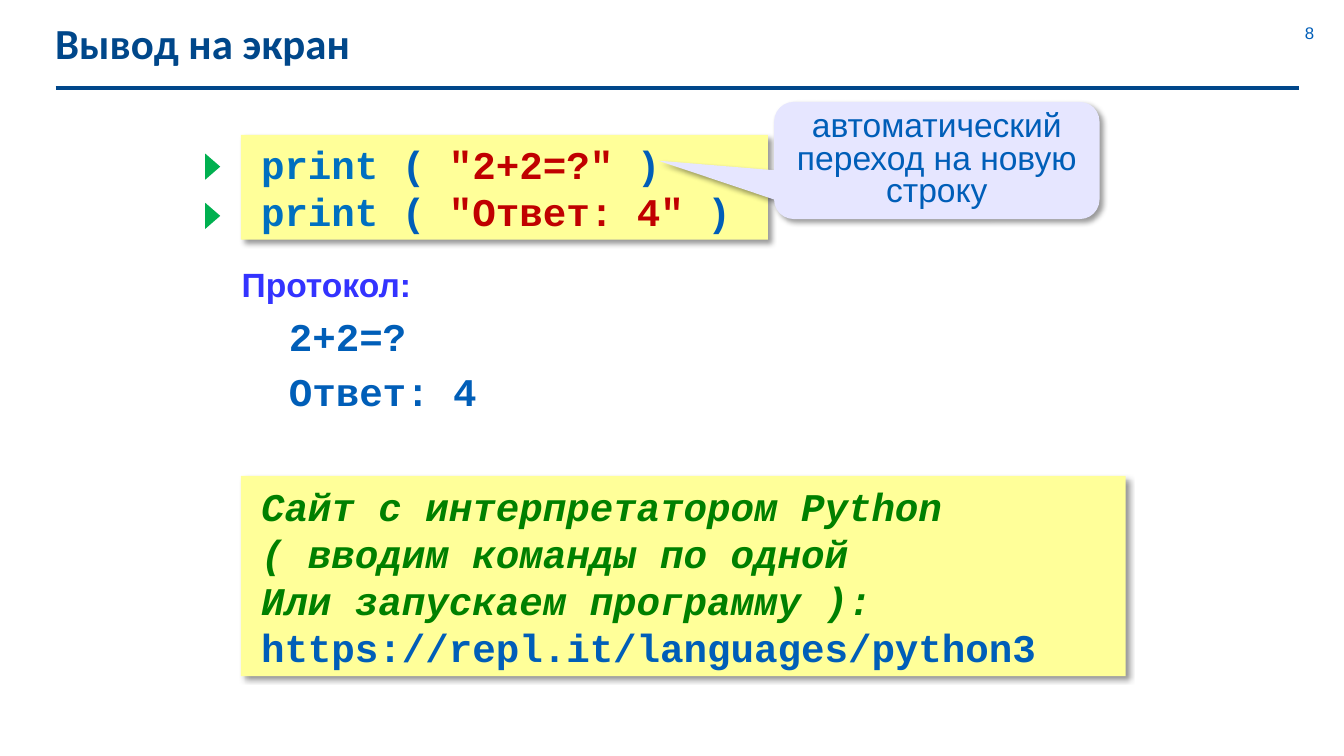
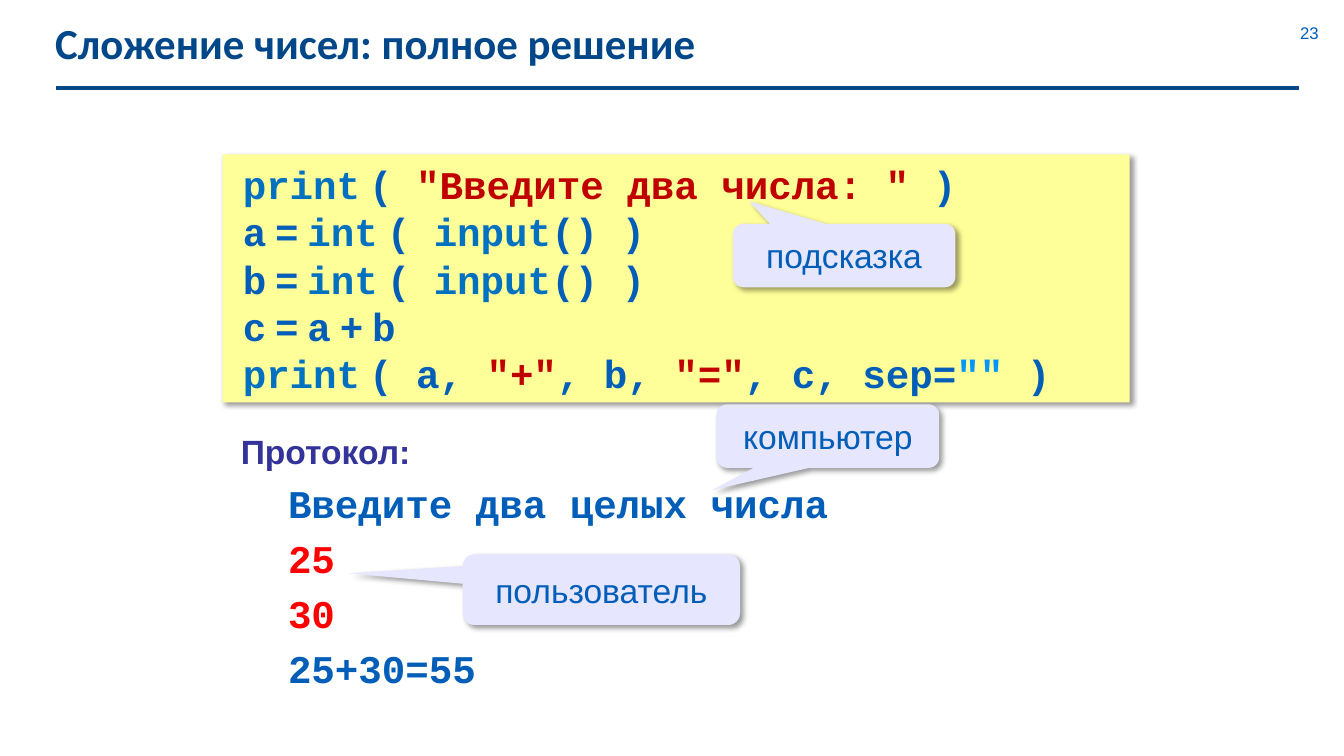
from collections import namedtuple
from dataclasses import dataclass

from lxml.etree import SubElement
from pptx import Presentation
from pptx.dml.color import RGBColor
from pptx.enum.shapes import MSO_CONNECTOR, MSO_SHAPE as Preset
from pptx.enum.text import MSO_ANCHOR as Anchor, PP_ALIGN as Align
from pptx.oxml.ns import qn
from pptx.util import Cm, Pt


@dataclass(frozen=True)
class Theme:
    navy: str = "00478A"
    text: str = "005EB8"
    keyword: str = "0070C0"
    string: str = "C00000"
    empty_string: str = "0095FF"
    comment: str = "008000"
    user_input: str = "FF0000"
    code_fill: str = "FFFF99"
    callout_fill: str = "E6E6FF"
    marker: str = "00B050"
    title_size: float = 30.6
    code_size: float = 28
    label_size: float = 24
    number_size: float = 12
    title_font: str = "Calibri"
    body_font: str = "Arial"
    code_font: str = "Courier New"


theme = Theme()
Style = namedtuple("Style", "font size color bold italic", defaults=(True, False))

title_style = Style(theme.title_font, theme.title_size, theme.navy)
number_style = Style(theme.body_font, theme.number_size, theme.text, False)
note_style = Style(theme.body_font, theme.label_size, theme.text, False)
plain = Style(theme.code_font, theme.code_size, theme.text)
gap = plain._replace(font=theme.title_font)
keyword = plain._replace(color=theme.keyword)
string = plain._replace(color=theme.string)
empty_string = plain._replace(color=theme.empty_string)
user_input = plain._replace(color=theme.user_input)
comment = plain._replace(color=theme.comment, italic=True)


def write(shape, lines, align=Align.LEFT, anchor=Anchor.TOP, inset=(0.25, 0.13, 0.25, 0.13), spacing=None):
    frame = shape.text_frame
    frame.word_wrap = True
    frame.vertical_anchor = anchor
    frame.margin_left, frame.margin_top, frame.margin_right, frame.margin_bottom = map(Cm, inset)
    for index, line in enumerate(lines):
        paragraph = frame.paragraphs[0] if index == 0 else frame.add_paragraph()
        paragraph.alignment = align
        if spacing:
            paragraph.line_spacing = spacing
        for words, style in line:
            run = paragraph.add_run()
            run.text = words
            run.font.name = style.font
            run.font.size = Pt(style.size)
            run.font.bold = style.bold
            run.font.italic = style.italic
            run.font.color.rgb = RGBColor.from_string(style.color)
    return frame


def add_panel(slide, preset, place, fill, shadow=True):
    panel = slide.shapes.add_shape(preset, *map(Cm, place))
    panel.shadow.inherit = False
    panel.fill.solid()
    panel.fill.fore_color.rgb = RGBColor.from_string(fill)
    panel.line.fill.background()
    if shadow:
        effects = panel._element.spPr.find(qn("a:effectLst"))
        outer = SubElement(effects, qn("a:outerShdw"), blurRad=str(Pt(4)), dist=str(Pt(3)),
                           dir="2700000", algn="tl", rotWithShape="0")
        black = SubElement(outer, qn("a:srgbClr"), val="000000")
        SubElement(black, qn("a:alpha"), val="40000")
    return panel


read_number = [("=", plain), (" ", gap), ("int", keyword), (" ", gap), ("( ", plain),
               ("input", keyword), ("() )", plain)]

lessons = [
    {
        "title": "Вывод на экран",
        "number": "8",
        "code": [
            ((6.07, 3.4, 13.28, 2.64), [
                [("print", keyword), (" ( ", plain), (text, string), (" )", plain)]
                for text in ('"2+2=?"', '"Ответ: 4"')
            ]),
            ((6.07, 11.99, 22.3, 5.05), [
                [("Сайт с интерпретатором Python", comment)],
                [("( вводим команды по одной", comment)],
                [("Или запускаем программу ):", comment)],
                [("https://repl.it/languages/python3", plain)],
            ]),
        ],
        "protocol_place": (5.84, 6.53, 18.67, 4.17),
        "protocol_color": "3333FF",
        "protocol": [("2+2=?", plain), ("Ответ: 4", plain)],
        "marker_tops": [4.01, 5.25],
        "callouts": [
            ("автоматический переход на новую строку", (19.51, 2.57, 8.2, 2.95), (-0.856, 0.002), 0.8),
        ],
    },
    {
        "title": "Сложение чисел: полное решение",
        "number": "23",
        "code": [
            ((5.61, 3.89, 22.86, 6.25), [
                [("print", keyword), (" ", gap), ("( ", plain), ('"Введите два числа: "', string),
                 (" )", plain)],
                [("a", plain), (" ", gap), *read_number],
                [("b", plain), (" ", gap), *read_number],
                [("c", plain), (" ", gap), ("=", plain), (" ", gap), ("a", plain), (" ", gap),
                 ("+", plain), (" ", gap), ("b", plain)],
                [("print", keyword), (" ", gap), ("( a, ", plain), ('"+"', string), (", b, ", plain),
                 ('"="', string), (", c, sep=", plain), ('""', empty_string), (" )", plain)],
            ]),
        ],
        "protocol_place": (5.82, 10.74, 23.01, 7.04),
        "protocol_color": "333399",
        "protocol": [("Введите два целых числа", plain), ("25", user_input), ("30", user_input),
                     ("25+30=55", plain)],
        "marker_tops": [],
        "callouts": [
            ("компьютер", (18.06, 10.19, 5.61, 1.6), (-0.518, 0.848), None),
            ("пользователь", (11.66, 13.97, 6.99, 1.78), (-0.911, -0.231), None),
            ("подсказка", (18.47, 5.64, 5.61, 1.6), (-0.427, -0.855), None),
        ],
    },
]

deck = Presentation()
deck.slide_width, deck.slide_height = Cm(33.87), Cm(19.05)

for lesson in lessons:
    slide = deck.slides.add_slide(deck.slide_layouts[6])

    rule = slide.shapes.add_connector(MSO_CONNECTOR.STRAIGHT, Cm(1.4), Cm(2.21), Cm(32.74), Cm(2.21))
    rule.line.color.rgb = RGBColor.from_string(theme.navy)
    rule.line.width = Pt(3)
    SubElement(rule._element.spPr, qn("a:effectLst"))

    title = slide.shapes.add_textbox(Cm(1.14), Cm(0.43), Cm(31.01), Cm(1.32))
    write(title, [[(lesson["title"], title_style)]], inset=(0.25, 0, 0.25, 0.13))

    number = slide.shapes.add_textbox(Cm(32.2), Cm(0.56), Cm(1.6), Cm(0.51))
    write(number, [[(lesson["number"], number_style)]], Align.CENTER, Anchor.MIDDLE, (0, 0, 0, 0))

    for place, lines in lesson["code"]:
        code = add_panel(slide, Preset.RECTANGLE, place, theme.code_fill)
        write(code, lines, anchor=Anchor.MIDDLE, inset=(0.51, 0.13, 0.25, 0.13))

    protocol = slide.shapes.add_textbox(*map(Cm, lesson["protocol_place"]))
    heading = Style(theme.body_font, theme.label_size, lesson["protocol_color"])
    screen = write(protocol, [[("Протокол:", heading)], *([line] for line in lesson["protocol"])])
    for output in screen.paragraphs[1:]:
        output.space_before = Pt(5.6)
        output._p.get_or_add_pPr().set("marL", str(Cm(1.19)))

    for top in lesson["marker_tops"]:
        marker = add_panel(slide, Preset.ISOSCELES_TRIANGLE, (5.03, top, 0.66, 0.38), theme.marker, shadow=False)
        marker.rotation = 90

    for words, place, tip, spacing in lesson["callouts"]:
        callout = add_panel(slide, Preset.ROUNDED_RECTANGULAR_CALLOUT, place, theme.callout_fill)
        callout.adjustments[0], callout.adjustments[1] = tip
        write(callout, [[(words, note_style)]], Align.CENTER, Anchor.MIDDLE, spacing=spacing)

deck.save("out.pptx")
